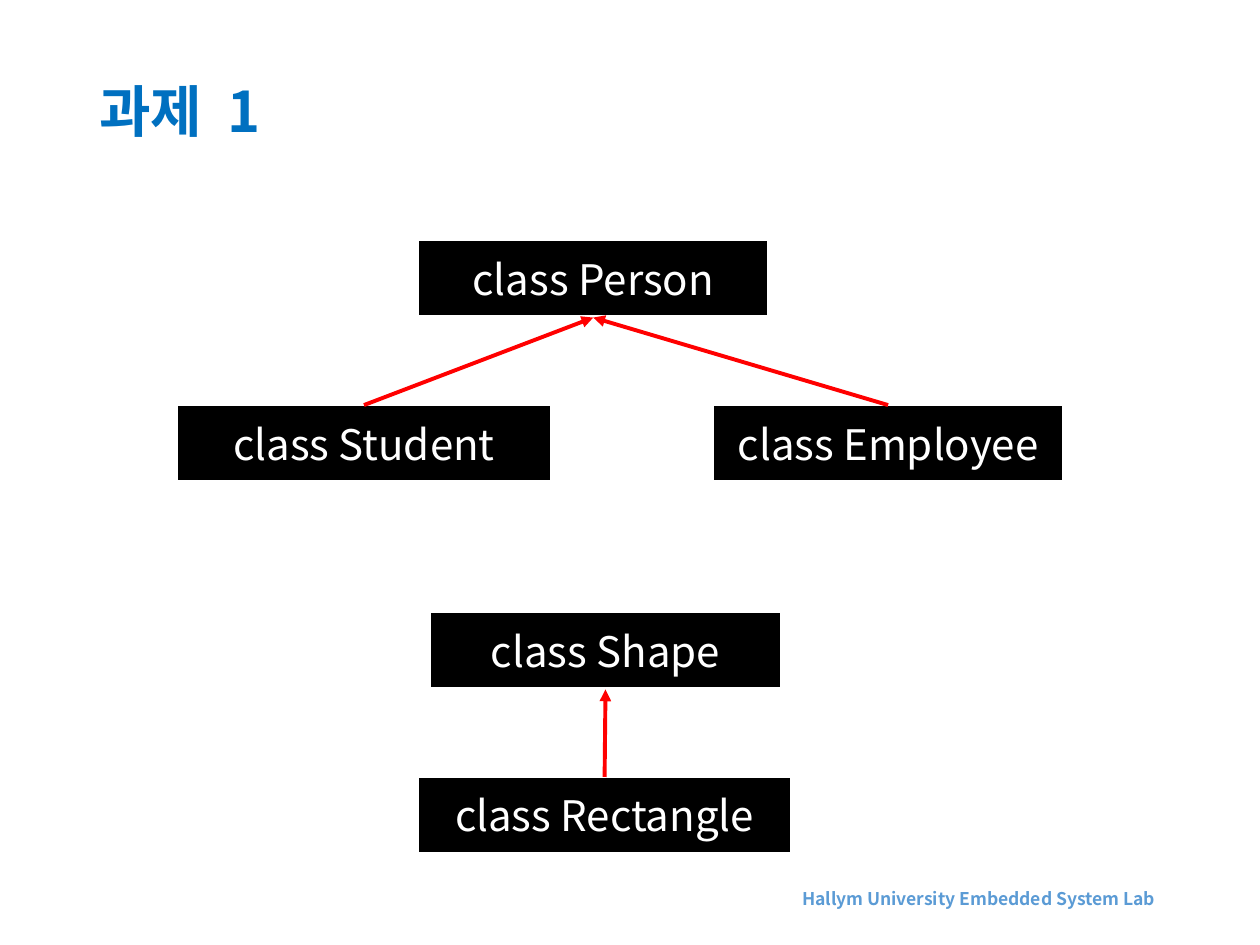
import dataclasses

import lxml.etree
import pptx
import pptx.dml.color
import pptx.enum.shapes
import pptx.enum.text
import pptx.oxml.ns
import pptx.util

Pt = pptx.util.Pt
qn = pptx.oxml.ns.qn
RGB = pptx.dml.color.RGBColor.from_string
ALIGN = pptx.enum.text.PP_ALIGN


@dataclasses.dataclass(frozen=True)
class Theme:
    """Colours, type sizes and shared measures of the slide."""
    font: str = "Noto Sans CJK KR"
    title: str = "0070C0"
    footer: str = "5B9BD5"
    box: str = "000000"
    paper: str = "FFFFFF"
    arrow: str = "FF0000"
    title_size: int = 32
    class_size: int = 24
    footer_size: int = 10
    arrow_width: float = 2.25
    class_height: float = 44
    level_step: float = 94


THEME = Theme()


def add_run(p, text, size, color, bold=False):
    """Append a formatted run to a paragraph."""
    r = p.add_run()
    r.text = text
    for name, value in {"name": THEME.font, "size": Pt(size), "bold": bold}.items():
        setattr(r.font, name, value)
    r.font.color.rgb = RGB(color)
    for tag in ("a:ea", "a:cs"):
        lxml.etree.SubElement(r.font._element, qn(tag), typeface=THEME.font)
    return r


def add_text(s, box, align):
    """Add a wrapping, vertically centred text box and return its paragraph."""
    tf = s.shapes.add_textbox(*map(Pt, box)).text_frame
    tf.word_wrap = True
    tf.vertical_anchor = pptx.enum.text.MSO_ANCHOR.MIDDLE
    p = tf.paragraphs[0]
    p.alignment = align
    return p


def add_title(s, box):
    """Add the slide title with a widened gap before its number."""
    p = add_text(s, box, ALIGN.LEFT)
    p.line_spacing = 0.9
    add_run(p, "과제", THEME.title_size, THEME.title, True)
    number = add_run(p, " 1", THEME.title_size, THEME.title, True)
    number.font._element.set("spc", "700")


def add_footer(s, box):
    """Add the lab name at the foot of the slide."""
    p = add_text(s, box, ALIGN.CENTER)
    add_run(p, "Hallym University Embedded System Lab", THEME.footer_size, THEME.footer, True)


def add_class(s, name, left, top, width):
    """Add a one-cell table that names a class."""
    frame = s.shapes.add_table(1, 1, *map(Pt, (left, top, width, THEME.class_height)))
    cell = frame.table.cell(0, 0)
    tcPr = cell._tc.get_or_add_tcPr()
    for tag, weight in {"a:lnL": 1, "a:lnR": 1, "a:lnT": 1, "a:lnB": 3}.items():
        ln = lxml.etree.SubElement(tcPr, qn(tag), w=str(Pt(weight)))
        fill = lxml.etree.SubElement(ln, qn("a:solidFill"))
        lxml.etree.SubElement(fill, qn("a:srgbClr"), val=THEME.paper)
    cell.fill.solid()
    cell.fill.fore_color.rgb = RGB(THEME.box)
    p = cell.text_frame.paragraphs[0]
    p.alignment = ALIGN.CENTER
    add_run(p, f"class {name}", THEME.class_size, THEME.paper)


def add_arrow(s, start, end):
    """Add an inheritance arrow that points at the parent class."""
    c = s.shapes.add_connector(
        pptx.enum.shapes.MSO_CONNECTOR.STRAIGHT, *map(Pt, start + end))
    c.line.width = Pt(THEME.arrow_width)
    c.line.color.rgb = RGB(THEME.arrow)
    lxml.etree.SubElement(c.line._get_or_add_ln(), qn("a:tailEnd"), type="triangle")
    lxml.etree.SubElement(c._element.spPr, qn("a:effectLst"))


def add_hierarchy(s, origin, parent, children):
    """Draw a parent class over its children, each a (name, offset, width)."""
    left, top = origin
    name, offset, width = parent
    add_class(s, name, left + offset, top, width)
    target = (left + offset + width / 2, top + THEME.class_height)
    child_top = top + THEME.level_step
    for name, offset, width in children:
        add_class(s, name, left + offset, child_top, width)
        add_arrow(s, (left + offset + width / 2, child_top), target)


def main():
    """Build and save the slide."""
    prs = pptx.Presentation()
    prs.slide_width, prs.slide_height = Pt(720), Pt(540)
    s = prs.slides.add_slide(prs.slide_layouts[6])
    add_title(s, (49.7, 28.8, 620.6, 72.7))
    add_footer(s, (421.2, 499, 275.8, 28.8))
    add_hierarchy(s, (101.5, 137.5), ("Person", 137.5, 200),
                  [("Student", 0, 213), ("Employee", 306, 200)])
    add_hierarchy(s, (239, 350), ("Shape", 7, 200), [("Rectangle", 0, 213)])
    prs.save("out.pptx")


if __name__ == "__main__":
    main()
